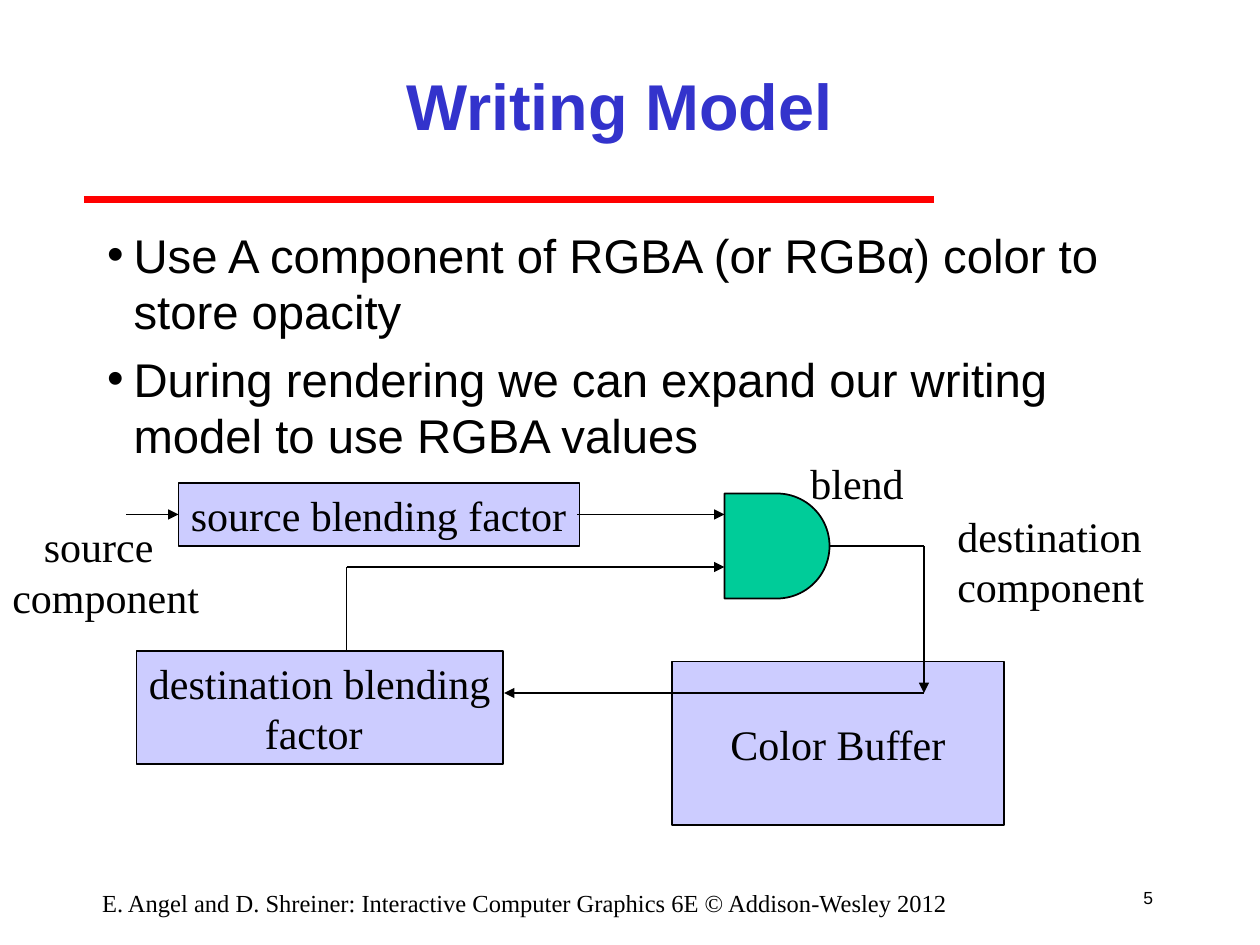
from lxml import etree
from pptx import Presentation
from pptx import util as u
from pptx.dml import color
from pptx.enum import shapes, text
from pptx.oxml import ns

COLORS = {"title": "3333CC", "rule": "FF0000", "ink": "000000",
          "box": "CCCCFF", "gate": "00CC99"}
CELL = u.Inches(1) / 12
LABEL = {"size": u.Pt(24), "name": "Times New Roman"}
LABEL_PARAGRAPH = {"line_spacing": u.Pt(28.8)}


def cells(*values):
    return [u.Emu(round(value * CELL)) for value in values]


def rgb(name):
    return color.RGBColor.from_string(COLORS[name])


def apply(target, values):
    for name, value in values.items():
        setattr(target, name, value)


def within(box, column, row, *size):
    return cells(box[0] + column, box[1] + row, *size)


def write(shape, lines, font, paragraph_format, ink="ink", indents=(), bullet=None, **frame_format):
    frame = shape.text_frame
    apply(frame, {"auto_size": text.MSO_AUTO_SIZE.NONE, "word_wrap": True,
                  "vertical_anchor": text.MSO_ANCHOR.TOP, **frame_format})
    frame.text = "\n".join(lines)
    for index, paragraph in enumerate(frame.paragraphs):
        properties = paragraph._p.get_or_add_pPr()
        if index < len(indents):
            properties.set("marL", str(u.Inches(indents[index])))
        if bullet:
            properties.set("indent", str(-u.Inches(indents[index])))
            etree.SubElement(properties, ns.qn("a:buFont")).set("typeface", "Arial")
            etree.SubElement(properties, ns.qn("a:buChar")).set("char", bullet)
        apply(paragraph, paragraph_format)
        if index == 0:
            paragraph.space_before = u.Pt(0)
        apply(paragraph.font, font)
        paragraph.font.color.rgb = rgb(ink)


def add_line(slide, box, start, end, ink="ink", width=1, arrow=False):
    line = slide.shapes.add_connector(
        shapes.MSO_CONNECTOR.STRAIGHT, *within(box, *start), *within(box, *end))
    line.line.color.rgb = rgb(ink)
    line.line.width = u.Pt(width)
    if arrow:
        etree.SubElement(line.line._get_or_add_ln(), ns.qn("a:tailEnd")).set("type", "triangle")
    etree.SubElement(line._element.spPr, ns.qn("a:effectLst"))


def add_block(slide, box, kind, place, fill):
    block = slide.shapes.add_shape(kind, *within(box, *place))
    block.shadow.inherit = False
    block.fill.solid()
    block.fill.fore_color.rgb = rgb(fill)
    block.line.color.rgb = rgb("ink")
    block.line.width = u.Pt(1)
    return block


def add_header(slide, box):
    title = slide.shapes.title
    apply(title, dict(zip(("left", "top", "width", "height"), within(box, 10, 0, 82, 14))))
    write(title, ["Writing Model"], {"size": u.Pt(37), "name": "Arial", "bold": True},
          {"alignment": text.PP_ALIGN.CENTER}, "title",
          vertical_anchor=text.MSO_ANCHOR.MIDDLE)
    add_line(slide, box, (0, 16), (81, 16), "rule", 4)


def add_points(slide, box):
    body = slide.placeholders[1]
    apply(body, dict(zip(("left", "top", "width", "height"), cells(*box))))
    lines = ["Use A component of RGBA (or RGBα) color to store opacity",
             "During rendering we can expand our writing model to use RGBA values"]
    write(body, lines, {"size": u.Pt(27), "name": "Arial"},
          {"space_before": u.Pt(6.8), "line_spacing": u.Pt(32)},
          indents=(0.21, 0.21), bullet="•")


def add_diagram(slide, box):
    add_block(slide, box, shapes.MSO_SHAPE.FLOWCHART_DELAY, (69, 4, 10, 10), "gate")
    blocks = [
        ((64, 20, 31.6, 15.6), ["Color Buffer"], text.PP_ALIGN.CENTER, ()),
        ((13, 19, 34.9, 10.8), ["destination blending", "factor"], text.PP_ALIGN.LEFT, (0, 0.92)),
        ((17, 3, 38.2, 6), ["source blending factor"], text.PP_ALIGN.LEFT, ()),
    ]
    for place, lines, alignment, indents in blocks:
        block = add_block(slide, box, shapes.MSO_SHAPE.RECTANGLE, place, "box")
        write(block, lines, LABEL, {**LABEL_PARAGRAPH, "alignment": alignment},
              indents=indents, word_wrap=False, vertical_anchor=text.MSO_ANCHOR.MIDDLE)

    labels = [
        ((90, 5, 20.2, 10.8), ["destination", "component"], ()),
        ((76, 0, 11.3, 6), ["blend"], ()),
        ((0, 6, 20.2, 10.8), ["source", "component"], (0.25, 0)),
    ]
    for place, lines, indents in labels:
        label = slide.shapes.add_textbox(*within(box, *place))
        write(label, lines, LABEL, LABEL_PARAGRAPH, indents=indents, word_wrap=False)

    flows = [
        ((12, 6), (17, 6), True),
        ((55, 6), (69, 6), True),
        ((79, 9), (88, 9), False),
        ((88, 9), (88, 23), True),
        ((88, 23), (48, 23), True),
        ((33, 11), (33, 19), False),
        ((33, 11), (69, 11), True),
    ]
    for start, end, arrow in flows:
        add_line(slide, box, start, end, arrow=arrow)


def add_footer(slide, box):
    number = slide.shapes.add_textbox(*within(box, 100, 0, 5, 5))
    write(number, ["5"], {"size": u.Pt(10), "name": "Arial"},
          {"alignment": text.PP_ALIGN.RIGHT}, vertical_anchor=text.MSO_ANCHOR.MIDDLE)
    credit = slide.shapes.add_textbox(*within(box, 0, 1, 88, 3))
    write(credit, ["E. Angel and D. Shreiner: Interactive Computer Graphics 6E © Addison-Wesley 2012"],
          {"size": u.Pt(14), "name": "Times New Roman"}, {"alignment": text.PP_ALIGN.CENTER})


def main():
    presentation = Presentation()
    apply(presentation, {"slide_width": u.Inches(10), "slide_height": u.Inches(7.5)})
    slide = presentation.slides.add_slide(presentation.slide_layouts[1])
    add_header(slide, (8, 3))
    add_points(slide, (9, 21, 102, 62))
    add_diagram(slide, (0, 43))
    add_footer(slide, (6, 83))
    presentation.save("out.pptx")


if __name__ == "__main__":
    main()
